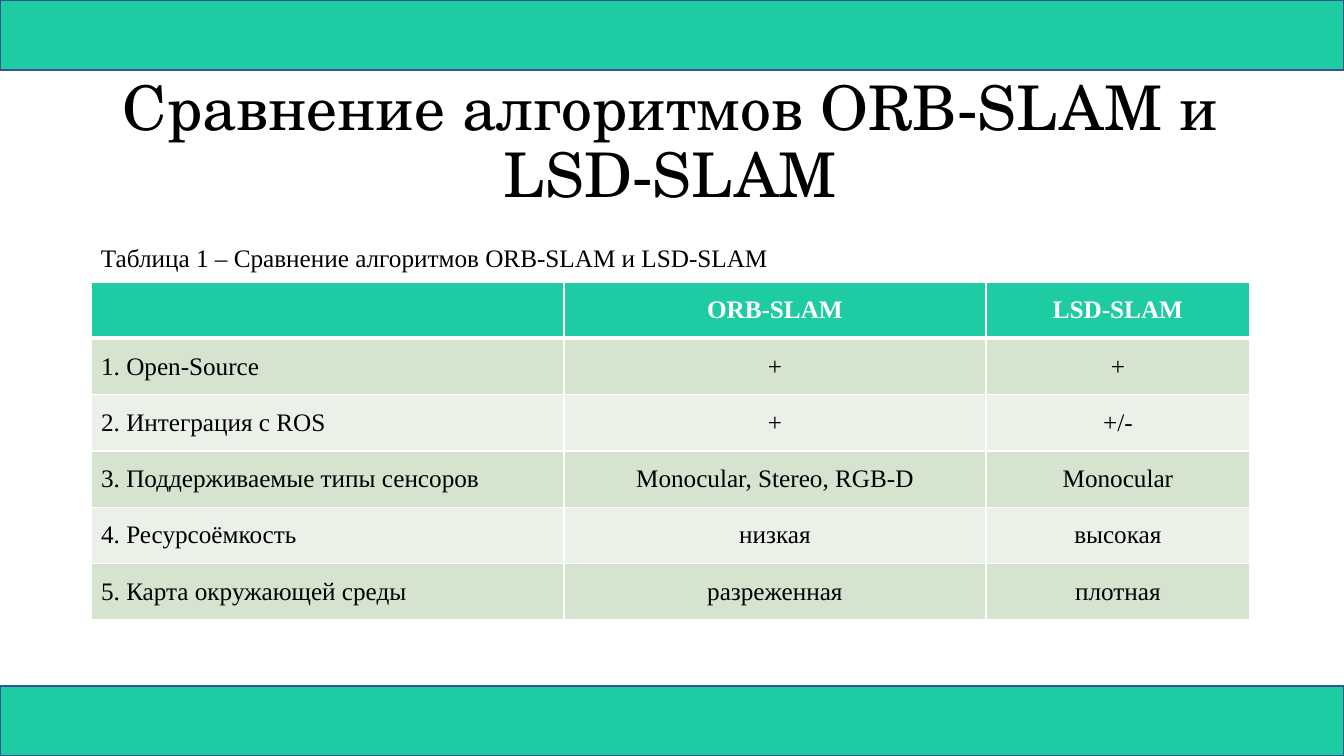
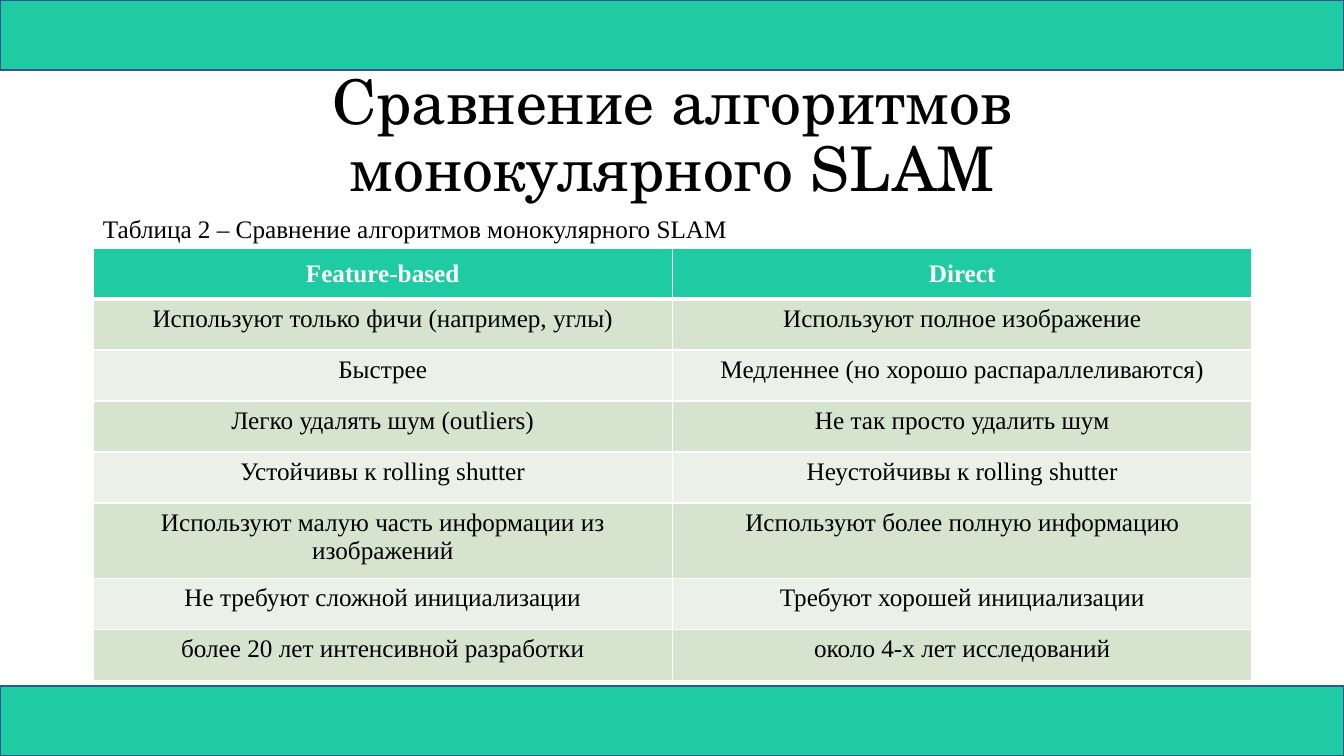
from lxml.etree import SubElement
from pptx import Presentation
from pptx.dml.color import RGBColor
from pptx.enum.shapes import MSO_SHAPE
from pptx.enum.text import MSO_ANCHOR, MSO_AUTO_SIZE, PP_ALIGN
from pptx.oxml.ns import qn
from pptx.util import Emu, Pt

SLIDE_W, SLIDE_H = 1344, 756
EMU_PER_PX = 12192000 / SLIDE_W

GREEN, NAVY, WHITE, BLACK = "1FCBA2", "325491", "FFFFFF", "000000"
ROW_FILLS = ("EBF1E9", "D5E3CF")
TITLE_FONT, BODY_FONT = "TeX Gyre Schola", "Times New Roman"
BAND_H, TITLE_H, CAPTION_H = 70, 146, 40
CONTENT_W = 1159


def px(length):
    return Emu(round(length * EMU_PER_PX))


def color(hex_string):
    return RGBColor.from_string(hex_string)


def style_para(para, font_name, size, hex_string, align, bold=False):
    para.alignment = align
    para.font.name = font_name
    para.font.size = Pt(size)
    para.font.bold = bold
    para.font.color.rgb = color(hex_string)


def add_bands(page):
    for top in (0, SLIDE_H - BAND_H):
        band = page.shapes.add_shape(
            MSO_SHAPE.RECTANGLE, 0, px(top), px(SLIDE_W), px(BAND_H))
        band.shadow.inherit = False
        band.fill.solid()
        band.fill.fore_color.rgb = color(GREEN)
        band.line.color.rgb = color(NAVY)
        band.line.width = Pt(1)


def add_text(page, text, left, top, width, height):
    box = page.shapes.add_textbox(px(left), px(top), px(width), px(height))
    box.text_frame.word_wrap = True
    box.text_frame.text = text
    return box.text_frame


def add_title(page, text, left, top):
    frame = add_text(page, text, left, top, CONTENT_W, TITLE_H)
    frame.vertical_anchor = MSO_ANCHOR.MIDDLE
    para = frame.paragraphs[0]
    style_para(para, TITLE_FONT, 44, BLACK, PP_ALIGN.CENTER)
    para.line_spacing = 0.9


def add_caption(page, text, left, top, width):
    frame = add_text(page, text, left, top, width, CAPTION_H)
    frame.auto_size = MSO_AUTO_SIZE.SHAPE_TO_FIT_TEXT
    style_para(frame.paragraphs[0], BODY_FONT, 18, BLACK, PP_ALIGN.LEFT)


def set_borders(cell, row):
    # The line between the header and the body is thicker
    widths = {"lnL": 1, "lnR": 1,
              "lnT": 3 if row == 1 else 1,
              "lnB": 3 if row == 0 else 1}
    properties = cell._tc.get_or_add_tcPr()
    for side, width in widths.items():
        line = SubElement(properties, qn(f"a:{side}"), w=str(Pt(width)))
        fill = SubElement(line, qn("a:solidFill"))
        SubElement(fill, qn("a:srgbClr"), val=WHITE)


def fill_cell(cell, row, text, align, margins):
    header = row == 0
    set_borders(cell, row)
    cell.fill.solid()
    cell.fill.fore_color.rgb = color(GREEN if header else ROW_FILLS[row % 2])
    cell.text = text
    style_para(cell.text_frame.paragraphs[0], BODY_FONT, 18,
               WHITE if header else BLACK, align, bold=header)
    if header or not margins:
        cell.vertical_anchor = MSO_ANCHOR.MIDDLE
    else:
        cell.vertical_anchor = MSO_ANCHOR.TOP
        (cell.margin_left, cell.margin_top,
         cell.margin_right, cell.margin_bottom) = map(px, margins)


def add_comparison(page, rows, left, top, column_widths, height,
                   labels=False, margins=None):
    table = page.shapes.add_table(
        len(rows), len(column_widths), px(left), px(top),
        px(sum(column_widths)), px(height)).table
    table.first_row = table.horz_banding = False
    for column, width in zip(table.columns, column_widths):
        column.width = px(width)
    for r, texts in enumerate(rows):
        table.rows[r].height = px(height / len(rows))
        for c, text in enumerate(texts):
            is_label = labels and r > 0 and c == 0
            align = PP_ALIGN.LEFT if is_label else PP_ALIGN.CENTER
            fill_cell(table.cell(r, c), r, text, align, margins)


def add_page(deck):
    return deck.slides.add_slide(deck.slide_layouts[6])


def build_orb_lsd(deck):
    page = add_page(deck)
    left = 91
    rows = [
        ("", "ORB-SLAM", "LSD-SLAM"),
        ("1. Open-Source", "+", "+"),
        ("2. Интеграция с ROS", "+", "+/-"),
        ("3. Поддерживаемые типы сенсоров", "Monocular, Stereo, RGB-D",
         "Monocular"),
        ("4. Ресурсоёмкость", "низкая", "высокая"),
        ("5. Карта окружающей среды", "разреженная", "плотная"),
    ]
    add_comparison(page, rows, left, 282, (473, 422, 264), 338, labels=True)
    add_bands(page)
    add_title(page, "Сравнение алгоритмов ORB-SLAM и LSD-SLAM", left, 71)
    add_caption(page, "Таблица 1 – Сравнение алгоритмов ORB-SLAM и LSD-SLAM",
                left, 237, 727)


def build_monocular(deck):
    page = add_page(deck)
    left = 93
    rows = [
        ("Feature-based", "Direct"),
        ("Используют только фичи (например, углы)",
         "Используют полное изображение"),
        ("Быстрее", "Медленнее (но хорошо распараллеливаются)"),
        ("Легко удалять шум (outliers)", "Не так просто удалить шум"),
        ("Устойчивы к rolling shutter", "Неустойчивы к rolling shutter"),
        ("Используют малую часть информации из изображений",
         "Используют более полную информацию"),
        ("Не требуют сложной инициализации", "Требуют хорошей инициализации"),
        ("более 20 лет интенсивной разработки", "около 4-х лет исследований"),
    ]
    half = CONTENT_W / 2
    add_comparison(page, rows, left, 248, (half, half), 408,
                   margins=(12, 6, 12, 9))
    add_bands(page)
    add_title(page, "Сравнение алгоритмов монокулярного SLAM", left, 65)
    add_caption(page, "Таблица 2 – Сравнение алгоритмов монокулярного SLAM",
                left, 208, 694)


def main():
    deck = Presentation()
    deck.slide_width, deck.slide_height = px(SLIDE_W), px(SLIDE_H)
    build_orb_lsd(deck)
    build_monocular(deck)
    deck.save("out.pptx")


if __name__ == "__main__":
    main()
